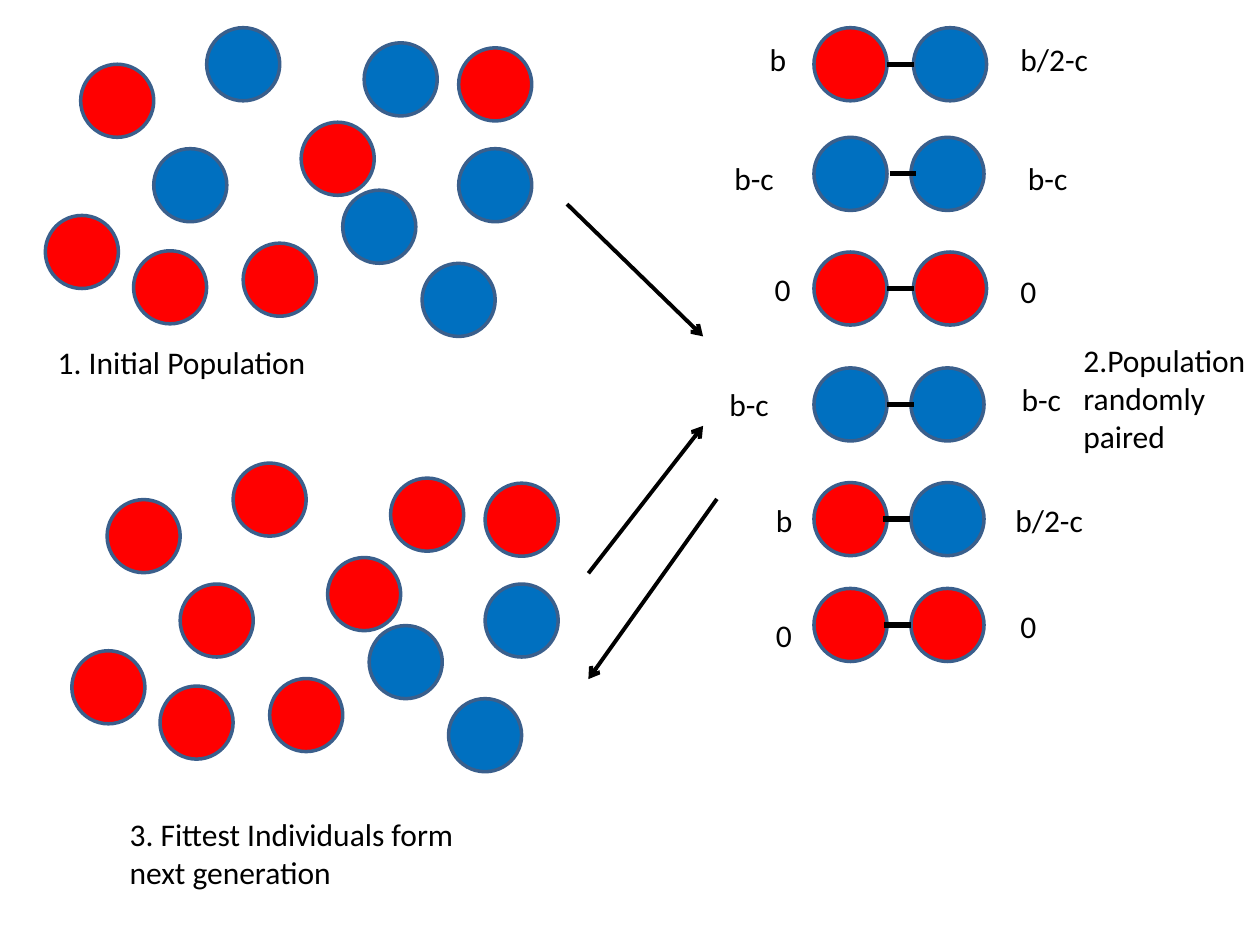
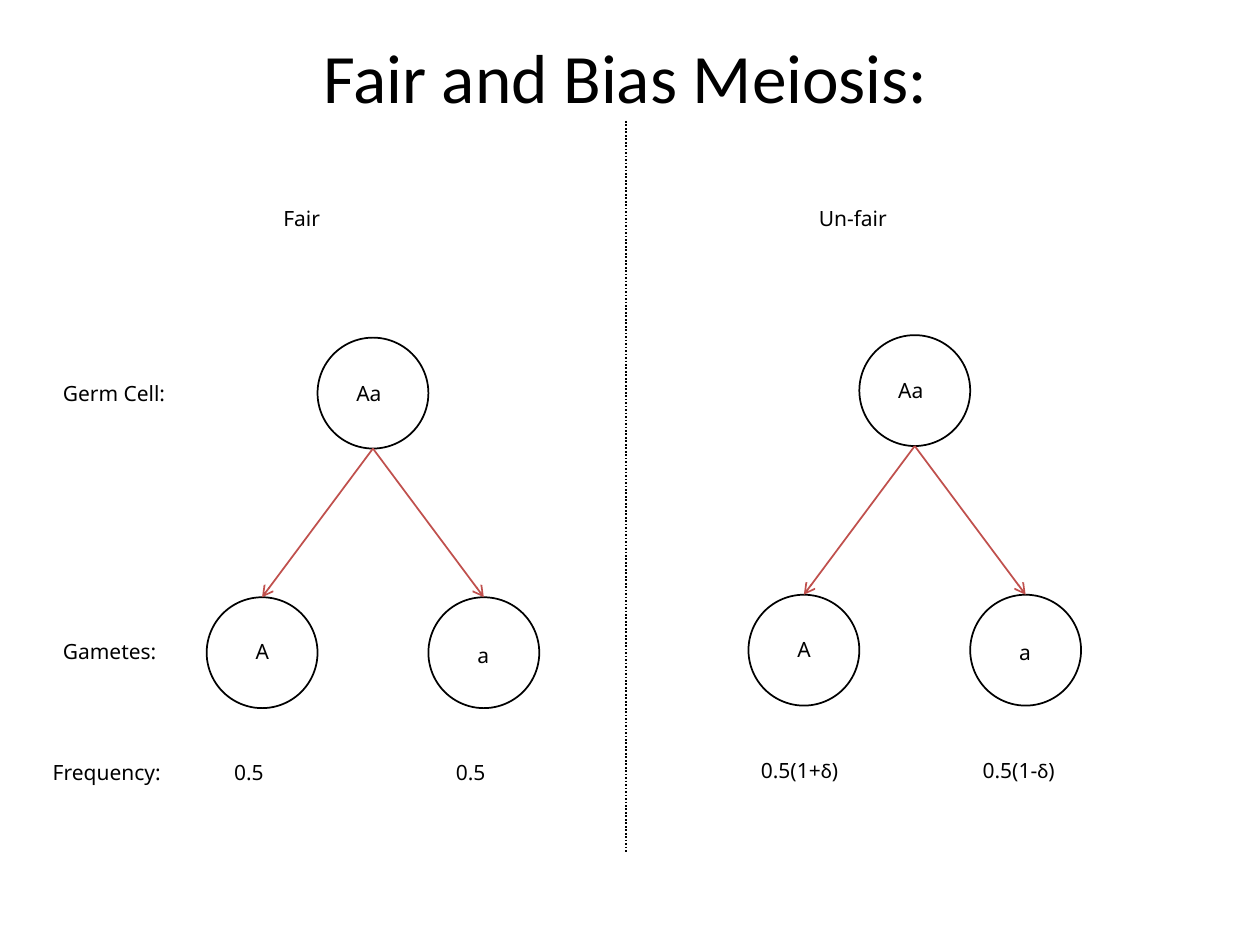
from dataclasses import dataclass

import pptx
import pptx.dml.color
import pptx.enum.dml
import pptx.enum.shapes
import pptx.enum.text
import pptx.oxml
import pptx.oxml.ns
import pptx.util
from pptx.util import Inches

COLOURS = {
    "red": "FF0000",
    "blue": "0070C0",
    "rim": "3A5F8C",
    "ink": "000000",
    "paper": "FFFFFF",
    "arrow": "C0504D",
}
BODY_FONT = "Calibri"
TREE_FONT = "Noto Sans"
DISC = 0.58
CELL = 0.88
BOND = 0.21
GENERATION_SHIFT = (0.21, 3.455)


@dataclass(frozen=True)
class Individual:
    x: float
    y: float
    first: str
    second: str


@dataclass(frozen=True)
class Pair:
    y: float
    left: str
    right: str
    right_x: float
    bond_x: float
    left_label: tuple[float, float]
    right_label: tuple[float, float]


@dataclass(frozen=True)
class Meiosis:
    """Heading and germ cell position, with the frequency runs of both gametes."""
    heading: str
    heading_x: float
    x: float
    y: float
    frequencies: tuple[list[str], list[str]]
    frequency_dx: float
    frequency_width: float


POPULATION = [
    Individual(0.64, 0.51, "red", "red"),
    Individual(1.22, 1.18, "blue", "red"),
    Individual(1.64, 0.22, "blue", "red"),
    Individual(2.72, 1.51, "blue", "blue"),
    Individual(3.35, 2.09, "blue", "blue"),
    Individual(3.64, 1.18, "blue", "blue"),
    Individual(2.89, 0.34, "blue", "red"),
    Individual(3.64, 0.38, "red", "red"),
    Individual(1.93, 1.93, "red", "red"),
    Individual(2.39, 0.97, "red", "red"),
    Individual(0.36, 1.71, "red", "red"),
    Individual(1.06, 1.99, "red", "red"),
]
PAIRS = [
    Pair(0.22, "red", "blue", 7.25, 7.04, (6.01, 0.27), (8.00, 0.27)),
    Pair(1.09, "blue", "blue", 7.23, 7.06, (5.73, 1.21), (8.06, 1.21)),
    Pair(2.00, "red", "red", 7.25, 7.04, (6.05, 2.09), (8.00, 2.11)),
    Pair(2.92, "blue", "blue", 7.23, 7.04, (5.69, 3.01), (8.01, 2.97)),
    Pair(3.83, "red", "blue", 7.23, 7.01, (6.06, 3.93), (7.96, 3.93)),
    Pair(4.67, "red", "red", 7.23, 7.02, (6.06, 4.84), (8.00, 4.77)),
]
# Payoff to the first of two partners, and the width of its label
PAYOFFS = {
    ("red", "blue"): ("b", 0.33),
    ("blue", "red"): ("b/2-c", 0.75),
    ("blue", "blue"): ("b-c", 0.64),
    ("red", "red"): ("0", 0.33),
}
STEP_ARROWS = [
    ((4.50, 1.62), (5.58, 2.67)),
    ((5.69, 3.96), (4.67, 5.39)),
    ((4.67, 4.55), (5.58, 3.38)),
]
TREES = [
    Meiosis("Fair", 2.15, 2.52, 2.68, (["0.5"], ["0.5"]), 0.12, 0.63),
    Meiosis("Un-fair", 6.40, 6.82, 2.66,
            (["0.5(1+", "δ", ")"], ["0.5(1-", "δ", ")"]), 0, 0.88),
]
ROW_LABELS = [
    ("Germ Cell:", 0.40, 2.97),
    ("Gametes:", 0.40, 5.02),
    ("Frequency:", 0.32, 5.98),
]


def rgb(name: str) -> pptx.dml.color.RGBColor:
    return pptx.dml.color.RGBColor.from_string(COLOURS[name])


def add_run(p, text: str, size: float, font: str) -> None:
    r = p.add_run()
    r.text = text
    r.font.size = pptx.util.Pt(size)
    r.font.name = font
    r.font.color.rgb = rgb("ink")


def add_text(s, runs: list[str], x: float, y: float, w: float, h: float,
             size: float, font: str) -> None:
    tf = s.shapes.add_textbox(Inches(x), Inches(y), Inches(w), Inches(h)).text_frame
    tf.word_wrap = True
    tf.auto_size = pptx.enum.text.MSO_AUTO_SIZE.SHAPE_TO_FIT_TEXT
    for text in runs:
        add_run(tf.paragraphs[0], text, size, BODY_FONT if text == "δ" else font)


def add_caption(s, text: str, x: float, y: float, w: float, h: float = 0.4) -> None:
    add_text(s, [text], x, y, w, h, 18, BODY_FONT)


def add_tree_label(s, runs: list[str], x: float, y: float, w: float) -> None:
    add_text(s, runs, x, y, w, 0.3, 12, TREE_FONT)


def add_circle(s, x: float, y: float, size: float, fill: str, line: str,
               width: float) -> None:
    sp = s.shapes.add_shape(pptx.enum.shapes.MSO_SHAPE.OVAL,
                            Inches(x), Inches(y), Inches(size), Inches(size))
    sp.shadow.inherit = False
    sp.fill.solid()
    sp.fill.fore_color.rgb = rgb(fill)
    sp.line.color.rgb = rgb(line)
    sp.line.width = pptx.util.Pt(width)


def add_disc(s, x: float, y: float, kind: str) -> None:
    add_circle(s, x, y, DISC, kind, "rim", 2)


def add_line(s, start: tuple[float, float], end: tuple[float, float], width: float,
             colour: str = "ink", arrow: bool = False, dotted: bool = False) -> None:
    cx = s.shapes.add_connector(pptx.enum.shapes.MSO_CONNECTOR.STRAIGHT,
                                *map(Inches, start + end))
    cx.line.color.rgb = rgb(colour)
    cx.line.width = pptx.util.Pt(width)
    if dotted:
        cx.line.dash_style = pptx.enum.dml.MSO_LINE.ROUND_DOT
    if arrow:
        tail = pptx.oxml.parse_xml(
            f'<a:tailEnd {pptx.oxml.ns.nsdecls("a")} type="arrow"/>')
        cx.line._get_or_add_ln().append(tail)
    cx._element.spPr.append(
        pptx.oxml.parse_xml(f'<a:effectLst {pptx.oxml.ns.nsdecls("a")}/>'))


def add_pair(s, pair: Pair) -> None:
    add_disc(s, 6.46, pair.y, pair.left)
    add_disc(s, pair.right_x, pair.y, pair.right)
    middle = pair.y + DISC / 2
    add_line(s, (pair.bond_x, middle), (pair.bond_x + BOND, middle), 3)
    for own, other, label in ((pair.left, pair.right, pair.left_label),
                              (pair.right, pair.left, pair.right_label)):
        payoff, width = PAYOFFS[own, other]
        add_caption(s, payoff, *label, width)


def add_meiosis(s, tree: Meiosis) -> None:
    add_tree_label(s, [tree.heading], tree.heading_x, 1.58, 1.54)
    add_circle(s, tree.x, tree.y, CELL, "paper", "ink", 1)
    add_tree_label(s, ["Aa"], tree.x + 0.21, tree.y + 0.29, 0.44)
    gamete_y = tree.y + 2.06
    centre = tree.x + CELL / 2
    for side, allele, allele_dy, frequency in zip(
            (-1, 1), "Aa", (0.28, 0.31), tree.frequencies):
        dx = side * CELL
        x = tree.x + dx
        add_circle(s, x, gamete_y, CELL, "paper", "ink", 1)
        add_line(s, (centre, tree.y + CELL), (centre + dx, gamete_y), 1,
                 "arrow", arrow=True)
        add_tree_label(s, [allele], x + 0.29, gamete_y + allele_dy, 0.3)
        add_tree_label(s, frequency, x + tree.frequency_dx, tree.y + 3.3,
                       tree.frequency_width)


def build_selection_slide(prs) -> None:
    s = prs.slides.add_slide(prs.slide_layouts[6])
    shift_x, shift_y = GENERATION_SHIFT
    for one in POPULATION:
        add_disc(s, one.x, one.y, one.first)
        add_disc(s, one.x + shift_x, one.y + shift_y, one.second)
    for pair in PAIRS:
        add_pair(s, pair)
    add_caption(s, "1. Initial Population", 0.36, 2.67, 3.47)
    add_caption(s, "2.Population randomly paired", 8.5, 2.66, 1.5, 1.01)
    add_caption(s, "3. Fittest Individuals form next generation",
                0.93, 6.42, 2.92, 0.71)
    for start, end in STEP_ARROWS:
        add_line(s, start, end, 2.25, arrow=True)


def build_meiosis_slide(prs) -> None:
    s = prs.slides.add_slide(prs.slide_layouts[5])
    title = s.shapes.title
    title.left, title.top = Inches(0.32), Inches(0.25)
    title.width, title.height = Inches(9.29), Inches(0.71)
    tf = title.text_frame
    tf.auto_size = pptx.enum.text.MSO_AUTO_SIZE.NONE
    tf.vertical_anchor = pptx.enum.text.MSO_ANCHOR.MIDDLE
    p = tf.paragraphs[0]
    p.alignment = pptx.enum.text.PP_ALIGN.CENTER
    add_run(p, "Fair and Bias Meiosis:", 39.6, BODY_FONT)
    for text, x, y in ROW_LABELS:
        add_tree_label(s, [text], x, y, 1.18)
    for tree in TREES:
        add_meiosis(s, tree)
    add_line(s, (4.97, 0.96), (4.97, 6.76), 1, dotted=True)


def main() -> None:
    prs = pptx.Presentation()
    prs.slide_width, prs.slide_height = Inches(10), Inches(7.5)
    build_selection_slide(prs)
    build_meiosis_slide(prs)
    prs.save("out.pptx")


if __name__ == "__main__":
    main()
